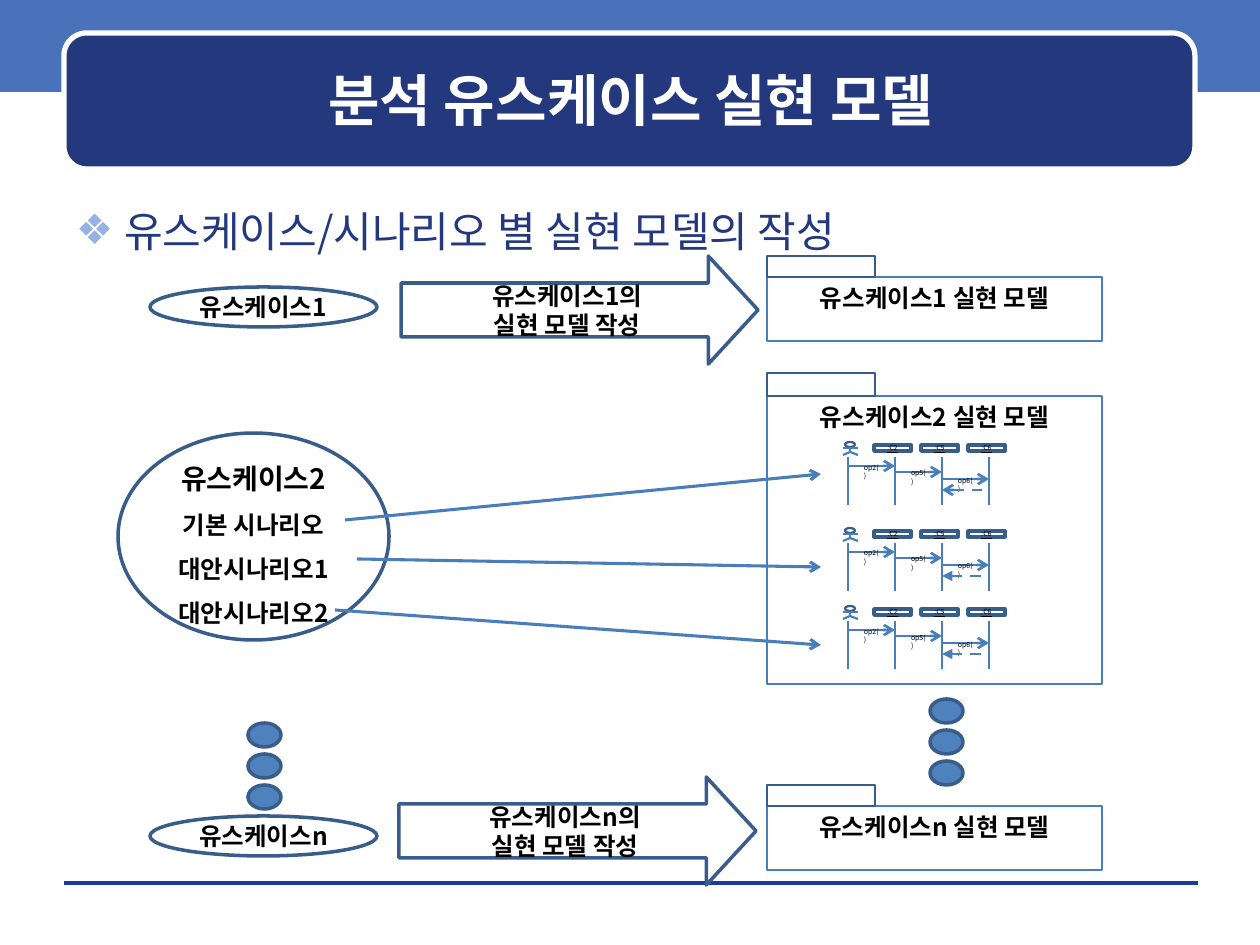
"""Builds the slide on analysis use case realization models."""
from dataclasses import dataclass
from typing import Optional

import lxml.etree
import pptx
import pptx.dml.color
import pptx.enum.dml
import pptx.enum.shapes
import pptx.enum.text
import pptx.oxml.ns
import pptx.util

FONT = "Noto Sans CJK KR"
NAVY, OUTLINE, STROKE, BLACK, WHITE = "23387D", "385D8A", "4A7EBB", "000000", "FFFFFF"
KIND = pptx.enum.shapes.MSO_SHAPE
ALIGN = pptx.enum.text.PP_ALIGN
ANCHOR = pptx.enum.text.MSO_ANCHOR
qn = pptx.oxml.ns.qn


@dataclass(frozen=True)
class Area:
    left: int
    top: int
    width: int
    height: int


@dataclass(frozen=True)
class Style:
    size: float = 14
    color: str = BLACK
    bold: bool = False
    underline: bool = False


@dataclass(frozen=True)
class Package:
    title: str
    top: int
    tab_height: int
    body_height: int


@dataclass(frozen=True)
class Arrow:
    start: tuple[int, int]
    end: tuple[int, int]


@dataclass(frozen=True)
class Sequence:
    top: int
    return_head: str


LABEL = Style(bold=True)
TINY = Style(size=4)
OBJECT_NAME = Style(size=4, underline=True)
PACKAGES = [
    Package("유스케이스1 실현 모델", 256, 21, 64),
    Package("유스케이스2 실현 모델", 373, 23, 288),
    Package("유스케이스n 실현 모델", 785, 21, 64),
]
USE_CASES = [("유스케이스1", 287), ("유스케이스n", 816)]
STEPS = [("유스케이스1의\n실현 모델 작성", 401, 256), ("유스케이스n의\n실현 모델 작성", 399, 777)]
SCENARIOS = "유스케이스2\n기본 시나리오\n대안시나리오1\n대안시나리오2"
SCENARIO_ARROWS = [
    Arrow((345, 520), (821, 474)),
    Arrow((335, 610), (821, 645)),
    Arrow((357, 559), (821, 567)),
]
SEQUENCES = [Sequence(442, "arrow"), Sequence(528, "triangle"), Sequence(606, "triangle")]
DOT_COLUMNS = [(248, 723), (930, 699)]
OBJECTS = [":C2", ":C5", ":C6"]
MESSAGES = ["op2()", "op5()", "op6()"]
LIFELINE_GAP = 47


def px(length: int) -> int:
    """Turn px into EMU."""
    return round(length * 914400 / 126)


def rgb(color: str) -> pptx.dml.color.RGBColor:
    """Turn a hex string into a colour."""
    return pptx.dml.color.RGBColor.from_string(color)


def place(shape, area: Area) -> None:
    """Move and size a shape."""
    shape.left, shape.top = px(area.left), px(area.top)
    shape.width, shape.height = px(area.width), px(area.height)


def format_para(para, style: Style) -> None:
    """Apply one style to every run of a paragraph."""
    for span in para.runs:
        font = span.font
        font.size = pptx.util.Pt(style.size)
        font.bold, font.underline = style.bold, style.underline
        font.color.rgb = rgb(style.color)
        font.name = FONT
        lxml.etree.SubElement(span._r.get_or_add_rPr(), qn("a:ea"), typeface=FONT)


def write(shape, text: str, style: Style, anchor=ANCHOR.MIDDLE, align=ALIGN.CENTER,
          inset_x: int = 0, inset_y: int = 6) -> None:
    """Fill a shape with formatted text."""
    frame = shape.text_frame
    frame.text = text
    frame.word_wrap = True
    frame.vertical_anchor = anchor
    frame.margin_left = frame.margin_right = px(inset_x)
    frame.margin_top = frame.margin_bottom = px(inset_y)
    for para in frame.paragraphs:
        para.alignment = align
        format_para(para, style)


def add_box(page, kind, area: Area, line: Optional[str] = OUTLINE, width: float = 2,
            fill: Optional[str] = None):
    """Draw a preset shape."""
    box = page.shapes.add_shape(kind, 0, 0, 0, 0)
    place(box, area)
    box.shadow.inherit = False
    if fill:
        box.fill.solid()
        box.fill.fore_color.rgb = rgb(fill)
    else:
        box.fill.background()
    if line:
        box.line.color.rgb = rgb(line)
        box.line.width = pptx.util.Pt(width)
    else:
        box.line.fill.background()
    return box


def add_line(page, start: tuple[int, int], end: tuple[int, int], width: float = 1.5,
             color: str = STROKE, head: str = "", tail: str = "", dashed: bool = False) -> None:
    """Draw a straight line with optional arrowheads."""
    line = page.shapes.add_connector(pptx.enum.shapes.MSO_CONNECTOR.STRAIGHT,
                                     *map(px, start + end))
    line.line.color.rgb = rgb(color)
    line.line.width = pptx.util.Pt(width)
    if dashed:
        line.line.dash_style = pptx.enum.dml.MSO_LINE.DASH
    properties = line.element.spPr
    for tag, kind in (("a:headEnd", head), ("a:tailEnd", tail)):
        if kind:
            lxml.etree.SubElement(properties.find(qn("a:ln")), qn(tag), type=kind)
    lxml.etree.SubElement(properties, qn("a:effectLst"))


def add_heading(page) -> None:
    """Draw the banner, the footer rule, the title and the bullet."""
    add_box(page, KIND.RECTANGLE, Area(0, -4, 1260, 96), line=None, fill="4972BB")
    add_line(page, (64, 883), (1198, 883), width=0, color="1A3D97")
    add_box(page, KIND.ROUNDED_RECTANGLE, Area(64, 33, 1131, 136), WHITE, 3, NAVY)
    title, body = page.placeholders
    place(title, Area(76, 44, 1110, 111))
    write(title, "분석 유스케이스 실현 모델", Style(32, WHITE, True))
    place(body, Area(63, 199, 1134, 672))
    write(body, "유스케이스/시나리오 별 실현 모델의 작성", Style(24, NAVY),
          ANCHOR.TOP, ALIGN.LEFT, 13)
    for holder in (title, body):
        holder.text_frame.auto_size = pptx.enum.text.MSO_AUTO_SIZE.NONE
        page.shapes.element.append(holder.element)
    para = body.text_frame.paragraphs[0]
    para.space_before = pptx.util.Pt(0)
    properties = para._p.get_or_add_pPr()
    properties.set("marL", str(px(48)))
    properties.set("indent", str(px(-48)))
    bullet_color = lxml.etree.SubElement(properties, qn("a:buClr"))
    lxml.etree.SubElement(bullet_color, qn("a:srgbClr"), val="96B1E6")
    lxml.etree.SubElement(properties, qn("a:buChar"), char="❖")


def add_package(page, package: Package) -> None:
    """Draw a package body with its tab."""
    body = add_box(page, KIND.RECTANGLE, Area(767, package.top + package.tab_height, 335,
                                              package.body_height), STROKE, 1.25)
    write(body, package.title, LABEL, ANCHOR.TOP, inset_x=13)
    add_box(page, KIND.RECTANGLE, Area(767, package.top, 108, package.tab_height), width=1.5)


def add_sequence(page, sequence: Sequence) -> None:
    """Draw a small sequence diagram."""
    top, first = sequence.top, 848
    for index, name in enumerate(OBJECTS):
        box = add_box(page, KIND.RECTANGLE, Area(874 + index * LIFELINE_GAP, top + 3, 37, 6))
        write(box, name, OBJECT_NAME, inset_x=13, inset_y=0)
    add_box(page, KIND.OVAL, Area(845, top, 10, 5), width=1.25)
    limbs = [((850, 5), (850, 10)), ((843, 6), (858, 6)),
             ((850, 10), (843, 13)), ((850, 10), (858, 13))]
    for (x1, y1), (x2, y2) in limbs:
        add_line(page, (x1, top + y1), (x2, top + y2), 1.25)
    lifelines = [first + index * LIFELINE_GAP for index in range(4)]
    for x in lifelines:
        add_line(page, (x, top + 15), (x, top + 63))
    for index, (message, x) in enumerate(zip(MESSAGES, lifelines)):
        drop = top + 13 * index // 2
        add_line(page, (x, drop + 24), (x + LIFELINE_GAP, drop + 24), tail="arrow")
        label = page.shapes.add_textbox(0, 0, 0, 0)
        place(label, Area(x + 3, drop + 15, 42, 21))
        write(label, message, TINY, ANCHOR.TOP, ALIGN.LEFT, 13)
    add_line(page, (lifelines[2], top + 48), (lifelines[3], top + 48),
             head=sequence.return_head, dashed=True)


def main() -> None:
    """Build and save the deck."""
    deck = pptx.Presentation()
    deck.slide_width, deck.slide_height = px(1260), px(945)
    page = deck.slides.add_slide(deck.slide_layouts[1])
    add_heading(page)
    scenarios = add_box(page, KIND.OVAL, Area(118, 433, 271, 207))
    write(scenarios, SCENARIOS, LABEL)
    paras = scenarios.text_frame.paragraphs
    for para in paras:
        para.line_spacing = 1.5
    paras[0].runs[0].font.size = pptx.util.Pt(16)
    for package in PACKAGES:
        add_package(page, package)
    for name, top in USE_CASES:
        write(add_box(page, KIND.OVAL, Area(150, top, 227, 40)), name, LABEL)
    for left, top in DOT_COLUMNS:
        for index in range(3):
            add_box(page, KIND.OVAL, Area(left, top + 31 * index, 33, 24), fill="4F81BD")
    for sequence in SEQUENCES:
        add_sequence(page, sequence)
    for text, left, top in STEPS:
        step = add_box(page, KIND.RIGHT_ARROW, Area(left, top, 357, 108))
        step.adjustments[1] = 0.46
        write(step, text, LABEL)
    for arrow in SCENARIO_ARROWS:
        add_line(page, arrow.start, arrow.end, 1.75, tail="arrow")
    deck.save("out.pptx")


if __name__ == "__main__":
    main()
